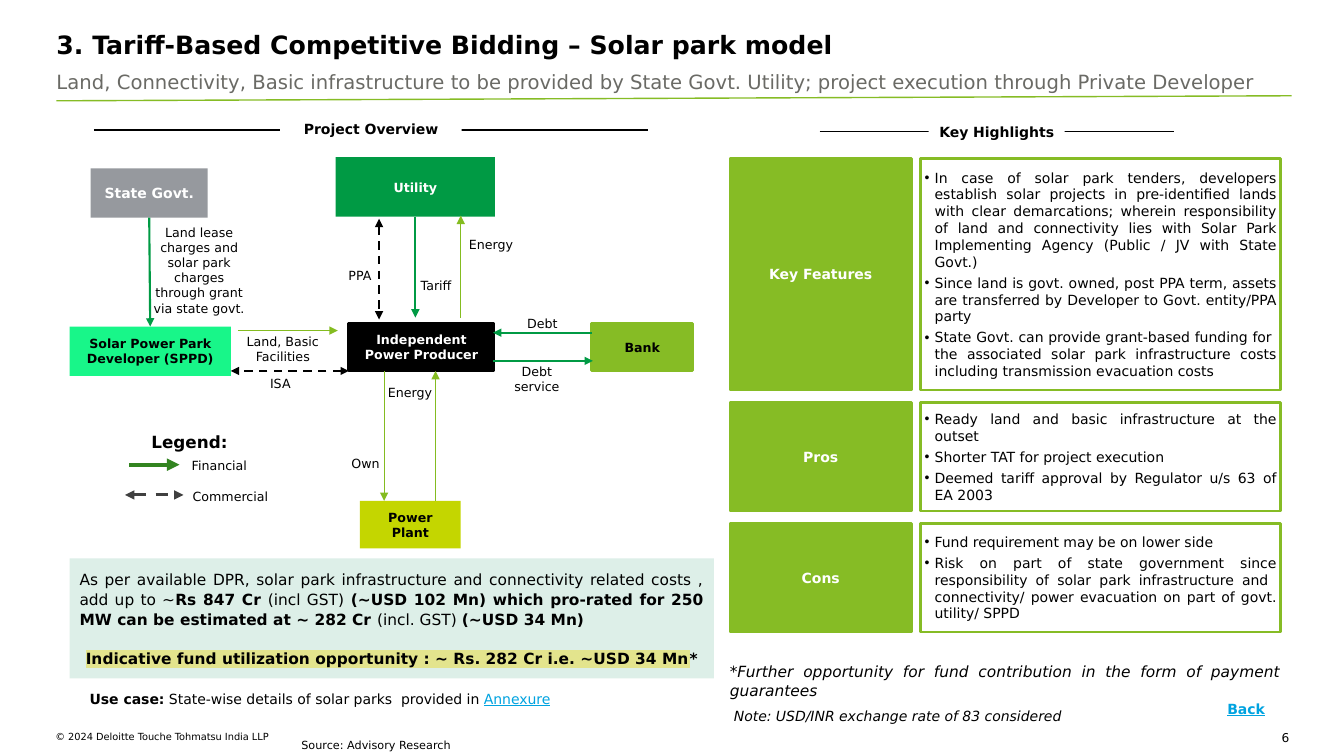
from lxml import etree
from pptx import Presentation
from pptx import util as u
from pptx.dml import color
from pptx.enum import dml, shapes, text
from pptx.oxml import ns


class Theme:
    font = "DejaVu Sans"
    black, white, grey = "000000", "FFFFFF", "6A6A65"
    green, leaf, forest, arrow = "86BC25", "84BC20", "009A44", "328420"
    lime, mint, pale, silver = "C4D600", "18F689", "DDEFE8", "96999E"
    charcoal, link, marker = "404040", "00A3E0", "E3E48D"
    title, subtitle, legend, summary = 18, 14, 12, 11
    body, label, source, page, footer = 10, 9, 8, 8.7, 7


left, center, right, justify = (
    text.PP_ALIGN.LEFT, text.PP_ALIGN.CENTER, text.PP_ALIGN.RIGHT, text.PP_ALIGN.JUSTIFY)
top_anchor, middle = text.MSO_ANCHOR.TOP, text.MSO_ANCHOR.MIDDLE


def write(box, place, paras, size, ink=Theme.black, bold=False, italic=False, align=center,
          anchor=middle, insets=(0.1, 0.05), spacing=1.0, after=0, bullet=False,
          fill=None, outline=None):
    box.left, box.top, box.width, box.height = [u.Inches(length) for length in place]
    if fill:
        box.fill.solid()
        box.fill.fore_color.rgb = color.RGBColor.from_string(fill)
        if outline:
            box.line.color.rgb = color.RGBColor.from_string(outline)
            box.line.width = u.Pt(2)
        else:
            box.line.fill.background()
    frame = box.text_frame
    frame.word_wrap, frame.auto_size, frame.vertical_anchor = True, text.MSO_AUTO_SIZE.NONE, anchor
    frame.margin_left = frame.margin_right = u.Inches(insets[0])
    frame.margin_top = frame.margin_bottom = u.Inches(insets[1])
    for index, spans in enumerate(paras):
        para = frame.add_paragraph() if index else frame.paragraphs[0]
        if bullet:
            props = para._p.get_or_add_pPr()
            props.set("marL", str(u.Inches(0.1)))
            props.set("indent", str(u.Inches(-0.1)))
            etree.SubElement(props, ns.qn("a:buChar")).set("char", "•")
        para.alignment, para.line_spacing = align, spacing
        para.space_before, para.space_after = u.Pt(0), u.Pt(after)
        for words, style in [(spans, {})] if isinstance(spans, str) else spans:
            span = para.add_run()
            span.text = words
            font = span.font
            font.name, font.size = Theme.font, u.Pt(size)
            font.bold, font.italic = style.get("bold", bold), italic
            font.underline = style.get("underline", False)
            font.color.rgb = color.RGBColor.from_string(style.get("ink", ink))
            if "marker" in style:
                highlight = etree.Element(ns.qn("a:highlight"))
                etree.SubElement(highlight, ns.qn("a:srgbClr")).set("val", style["marker"])
                font._rPr.find(ns.qn("a:solidFill")).addnext(highlight)


def connect(start, end, ink, width, heads=(), dashed=False):
    line = page.shapes.add_connector(
        shapes.MSO_CONNECTOR.STRAIGHT, *[u.Inches(length) for length in start + end])
    line.line.color.rgb = color.RGBColor.from_string(ink)
    line.line.width = u.Pt(width)
    if dashed:
        line.line.dash_style = dml.MSO_LINE.DASH
    for head in heads:
        etree.SubElement(line.line._get_or_add_ln(), ns.qn("a:" + head)).set("type", "triangle")
    etree.SubElement(line._element.spPr, ns.qn("a:effectLst"))


deck = Presentation()
deck.slide_width, deck.slide_height = u.Inches(13.33), u.Inches(7.5)
page = deck.slides.add_slide(deck.slide_layouts.get_by_name("Comparison"))
title, subtitle, *lists = page.placeholders

write(title, (0.56, 0.29, 12.34, 0.46), ["3. Tariff-Based Competitive Bidding – Solar park model"],
      Theme.title, bold=True, align=left, anchor=top_anchor, insets=(0, 0))
write(subtitle, (0.56, 0.64, 12.62, 0.31),
      ["Land, Connectivity, Basic infrastructure to be provided by State Govt. Utility; "
       "project execution through Private Developer"],
      Theme.subtitle, Theme.grey, align=left, anchor=top_anchor, insets=(0, 0.05))
connect((0.56, 1), (12.81, 0.95), Theme.green, 1)
connect((0.93, 1.29), (6.43, 1.29), Theme.black, 0.75)
connect((8.13, 1.3), (11.64, 1.3), Theme.black, 0.75)

highlights = [
    ("Key Features", 2.3, [
        "In case of solar park tenders, developers establish solar projects in pre-identified lands "
        "with clear demarcations; wherein responsibility of land and connectivity lies with Solar "
        "Park Implementing Agency (Public / JV with State Govt.)",
        "Since land is govt. owned, post PPA term, assets are transferred by Developer to Govt. "
        "entity/PPA party",
        "State Govt. can provide grant-based funding for  the associated solar park infrastructure "
        "costs including transmission evacuation costs"]),
    ("Pros", 1.08, [
        "Ready land and basic infrastructure at the outset",
        "Shorter TAT for project execution",
        "Deemed tariff approval by Regulator u/s 63 of EA 2003"]),
    ("Cons", 1.08, [
        "Fund requirement may be on lower side",
        "Risk on part of state government since responsibility of solar park infrastructure and  "
        "connectivity/ power evacuation on part of govt. utility/ SPPD"]),
]
blocks = [
    ("Project Overview", (2.78, 1.08, 1.8, 0.4), Theme.white, Theme.black, Theme.body, None),
    ("Key Highlights", (9.21, 1.23, 1.35, 0.16), Theme.white, Theme.black, Theme.body, None),
    ("State Govt.", (0.9, 1.67, 1.16, 0.49), Theme.silver, Theme.white, Theme.body, None),
    ("Utility", (3.33, 1.56, 1.58, 0.59), Theme.forest, Theme.white, Theme.label, None),
    ("Independent Power Producer", (3.46, 3.21, 1.44, 0.47), Theme.black, Theme.white,
     Theme.label, Theme.black),
    ("Bank", (5.87, 3.21, 1, 0.47), Theme.green, Theme.black, Theme.label, Theme.green),
    ("Power Plant", (3.57, 4.97, 1, 0.47), Theme.lime, Theme.black, Theme.label, None),
    ("Solar Power Park Developer (SPPD)", (0.69, 3.24, 1.6, 0.49), Theme.mint, Theme.black,
     Theme.label, None),
]
row_top = 1.57
for (heading, height, points), body in zip(highlights, lists):
    blocks.append((heading, (7.24, row_top, 1.8, height), Theme.green, Theme.white,
                   Theme.body, Theme.green))
    write(body, (9.13, row_top, 3.57, height), points, Theme.body, align=justify,
          insets=(0.04, 0), after=3, bullet=True, fill=Theme.white, outline=Theme.green)
    row_top += height + 0.12

for caption, place, fill, ink, size, outline in blocks:
    block = page.shapes.add_shape(shapes.MSO_SHAPE.RECTANGLE, 0, 0, 0, 0)
    block.shadow.inherit = False
    write(block, place, [caption], size, ink, bold=True, fill=fill, outline=outline)

one_way, two_way = ("tailEnd",), ("headEnd", "tailEnd")
for start, end, ink, width in [
    ((1.48, 2.16), (1.49, 3.24), Theme.forest, 1.5),
    ((4.12, 2.15), (4.12, 3.15), Theme.forest, 1.5),
    ((4.57, 3.15), (4.57, 2.14), Theme.leaf, 0.75),
    ((5.87, 3.3), (4.89, 3.3), Theme.forest, 1.5),
    ((4.89, 3.58), (5.88, 3.58), Theme.forest, 1.5),
    ((3.81, 3.68), (3.81, 4.97), Theme.leaf, 0.75),
    ((4.32, 4.97), (4.32, 3.68), Theme.leaf, 0.75),
    ((2.36, 3.28), (3.35, 3.28), Theme.leaf, 0.75),
    ((1.28, 4.61), (1.78, 4.61), Theme.arrow, 3),
]:
    connect(start, end, ink, width, one_way)
for start, end, ink, width in [
    ((3.76, 2.17), (3.76, 3.17), Theme.black, 1.5),
    ((3.46, 3.68), (2.29, 3.68), Theme.black, 1.5),
    ((1.24, 4.91), (1.82, 4.91), Theme.charcoal, 2.25),
]:
    connect(start, end, ink, width, two_way, dashed=True)

for caption, place in [
    ("PPA", (3.33, 2.58, 0.48, 0.3)),
    ("Tariff", (4.02, 2.66, 0.61, 0.35)),
    ("Energy", (4.52, 2.28, 0.7, 0.3)),
    ("Debt service", (4.99, 3.61, 0.67, 0.3)),
    ("Debt", (4.95, 3.06, 0.86, 0.3)),
    ("Own", (3.34, 4.45, 0.57, 0.3)),
    ("Energy", (3.72, 3.74, 0.69, 0.3)),
    ("Land, Basic Facilities", (2.22, 3.28, 1.17, 0.37)),
    ("ISA", (2.22, 3.68, 1.12, 0.25)),
    ("Financial", (1.73, 4.33, 0.89, 0.57)),
    ("Commercial", (1.77, 4.68, 1.03, 0.49)),
    ("Land lease charges and solar park charges through grant via state govt.",
     (1.39, 2.48, 1.17, 0.4)),
]:
    write(page.shapes.add_textbox(0, 0, 0, 0), place, [caption], Theme.label)

strong = {"bold": True}
summary = page.shapes.add_shape(shapes.MSO_SHAPE.RECTANGLE, 0, 0, 0, 0)
summary.shadow.inherit = False
write(summary, (0.69, 5.54, 6.39, 1.19), [
    [("As per available DPR, solar park infrastructure and connectivity related costs , "
      "add up to ~", {}),
     ("Rs 847 Cr ", strong), ("(incl GST)", {}),
     (" (~USD 102 Mn) which pro-rated for 250 MW can be estimated at ~ 282 Cr ", strong),
     ("(incl. GST) ", {}), ("(~USD 34 Mn)", strong)],
    [("Indicative fund utilization opportunity : ~ Rs. 282 Cr i.e. ~USD 34 Mn",
      {"bold": True, "marker": Theme.marker}), ("*", strong)],
], Theme.summary, align=justify, insets=(0.1, 0.1), spacing=1.06, fill=Theme.pale)
opportunity = summary.text_frame.paragraphs[1]
opportunity.alignment, opportunity.space_before = center, u.Pt(14)

wide = {"insets": (0.1, 0.1), "spacing": 1.06}
flush = {"insets": (0, 0), "anchor": top_anchor}
for place, spans, size, look in [
    ((1.03, 4.17, 1.7, 0.4), "Legend:", Theme.legend, {"bold": True, "anchor": top_anchor, **wide}),
    ((0.79, 6.8, 6.39, 0.27),
     [("Use case:", strong), (" State-wise details of solar parks  provided in ", {}),
      ("Annexure", {"ink": Theme.link, "underline": True})],
     Theme.body, {"align": justify, "anchor": top_anchor}),
    ((7.14, 6.56, 5.66, 0.38),
     "*Further opportunity for fund contribution in the form of payment guarantees",
     Theme.summary, {"italic": True, "align": justify, **wide}),
    ((7.18, 6.98, 3.89, 0.23), "Note: USD/INR exchange rate of 83 considered",
     Theme.body, {"italic": True, "align": justify, **wide}),
    ((11.88, 6.87, 0.96, 0.32), [("Back", {"underline": True})],
     Theme.body, {"ink": Theme.link, "bold": True, **wide}),
    ((2.89, 7.27, 6.67, 0.23), "Source: Advisory Research",
     Theme.source, {"align": left, "anchor": top_anchor, "spacing": 1.06}),
    ((0.55, 7.25, 5.86, 0.22), "© 2024 Deloitte Touche Tohmatsu India LLP",
     Theme.footer, {"align": left, **flush}),
    ((12.45, 7.25, 0.34, 0.11), "6", Theme.page, {"align": right, **flush}),
]:
    write(page.shapes.add_textbox(0, 0, 0, 0), place, [spans], size, **look)

deck.save("out.pptx")
